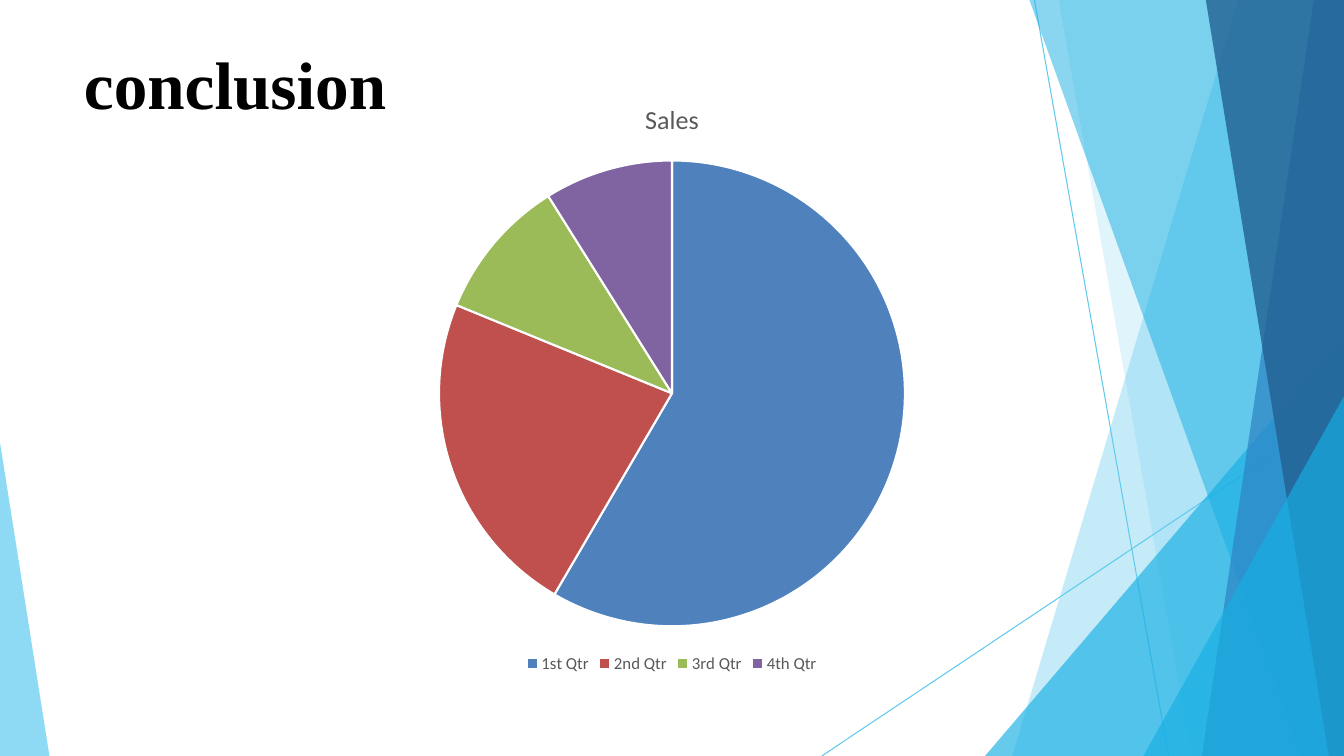
import pptx
import pptx.chart.data
import pptx.dml.color
import pptx.enum.chart
import pptx.enum.text
import pptx.oxml
import pptx.oxml.ns
import pptx.util
from dataclasses import dataclass


@dataclass
class Theme:
    sky: str = "5FCAEE"
    cyan: str = "17AFE3"
    blue: str = "2D83C3"
    navy: str = "226192"
    white: str = "FFFFFF"
    black: str = "000000"
    grey: str = "595959"
    slices: tuple = ("4F81BD", "C0504D", "9BBB59", "8064A2")
    title_font: str = "Times New Roman"
    chart_font: str = "Calibri"
    title_size: float = 48
    chart_title_size: float = 18.6
    legend_size: float = 12


theme = Theme()
W, H = 13.33, 7.5
rgb = pptx.dml.color.RGBColor.from_string
inch = pptx.util.Inches


def add_xml(parent, tag, **attrs):
    el = pptx.oxml.parse_xml(f"<{tag} {pptx.oxml.ns.nsdecls(tag.split(':')[0])}/>")
    for name, value in attrs.items():
        el.set(name, str(value))
    parent.append(el)
    return el


def style_font(font, name, size, color, bold=False):
    font.name, font.size, font.bold = name, pptx.util.Pt(size), bold
    font.color.rgb = rgb(color)


prs = pptx.Presentation()
prs.slide_width, prs.slide_height = inch(W), inch(H)
s = prs.slides.add_slide(prs.slide_layouts[5])
title = s.shapes.title

# Thin crossing lines
for x1, y1, x2, y2 in [(10.26, 0, 11.59, H), (W, 4.04, 8.15, H)]:
    line = s.shapes.add_connector(1, inch(x1), inch(y1), inch(x2), inch(y2))
    line.line.color.rgb = rgb(theme.sky)
    line.line.width = pptx.util.Pt(0.75)
    add_xml(line._element.spPr, "a:effectLst")

# Translucent facets: outline, colour, opacity in percent
# A right-hand facet runs from its top edge to a foot on the bottom edge
right_facets = [
    (12.28, 0, 10.04, theme.sky, 36),
    (10.5, 0, 11.82, theme.sky, 20),
    (W, 3.33, 9.77, theme.cyan, 66),
    (10.21, 0, 12.91, theme.cyan, 50),
    (13.03, 0, 11.92, theme.blue, 70),
    (11.96, 0, 13.18, theme.navy, 80),
    (W, 3.93, 11.34, theme.cyan, 66),
]
facets = [([(W, top), (x, top), (foot, H), (W, H)], color, alpha)
          for x, top, foot, color, alpha in right_facets]
facets.append(([(0, 4.39), (0, H), (0.49, H)], theme.sky, 70))
for corners, color, alpha in facets:
    points = [(inch(x), inch(y)) for x, y in corners]
    fb = s.shapes.build_freeform(*points[0])
    fb.add_line_segments(points[1:], close=True)
    sp = fb.convert_to_shape()
    sp.shadow.inherit = False
    sp.line.fill.background()
    sp.fill.solid()
    sp.fill.fore_color.rgb = rgb(color)
    clr = sp._element.spPr.find(".//" + pptx.oxml.ns.qn("a:srgbClr"))
    add_xml(clr, "a:alpha", val=alpha * 1000)

# Title, in front of the facets
s.shapes._spTree.append(title._element)
title.left, title.top = inch(W / 16), inch(H / 18)
title.width, title.height = inch(11.68), inch(H / 9)
tf = title.text_frame
tf.text = "conclusion"
tf.margin_left = tf.margin_top = tf.margin_right = tf.margin_bottom = 0
tf.vertical_anchor = pptx.enum.text.MSO_ANCHOR.TOP
tf.auto_size = pptx.enum.text.MSO_AUTO_SIZE.NONE
p = tf.paragraphs[0]
p.alignment = pptx.enum.text.PP_ALIGN.LEFT
style_font(p.runs[0].font, theme.title_font, theme.title_size, theme.black, True)

# Sales pie
data = pptx.chart.data.CategoryChartData()
data.categories = ["1st Qtr", "2nd Qtr", "3rd Qtr", "4th Qtr"]
data.add_series("Sales", [59, 23, 10, 9])
chart = s.shapes.add_chart(
    pptx.enum.chart.XL_CHART_TYPE.PIE,
    inch(W / 6), inch(0.79), inch(W * 2 / 3), inch(5.93), data).chart
style_font(chart.font, theme.chart_font, 10, theme.black)
chart.has_title = True
chart.chart_title.include_in_layout = False
tf = chart.chart_title.text_frame
tf.text = "Sales"
style_font(tf.paragraphs[0].runs[0].font, theme.chart_font,
           theme.chart_title_size, theme.grey)

chart.has_legend = True
chart.legend.position = pptx.enum.chart.XL_LEGEND_POSITION.BOTTOM
chart.legend.include_in_layout = False
style_font(chart.legend.font, theme.chart_font, theme.legend_size, theme.grey)

plot = chart.plots[0]
plot.vary_by_categories = True
for i, color in enumerate(theme.slices):
    fmt = plot.series[0].points[i].format
    fmt.fill.solid()
    fmt.fill.fore_color.rgb = rgb(color)
    fmt.line.color.rgb = rgb(theme.white)
    fmt.line.width = pptx.util.Pt(1.5)

# Fixed plot area, as shares of the chart frame
area = chart._chartSpace.chart.plotArea
for old in area.findall(pptx.oxml.ns.qn("c:layout")):
    area.remove(old)
layout = add_xml(area, "c:layout")
area.insert(0, layout)
manual = add_xml(layout, "c:manualLayout")
for tag, val in [("layoutTarget", "inner"), ("xMode", "edge"), ("yMode", "edge"),
                 ("x", 0.24), ("y", 0.13), ("w", 0.52), ("h", 0.79)]:
    add_xml(manual, "c:" + tag, val=val)

prs.save("out.pptx")
